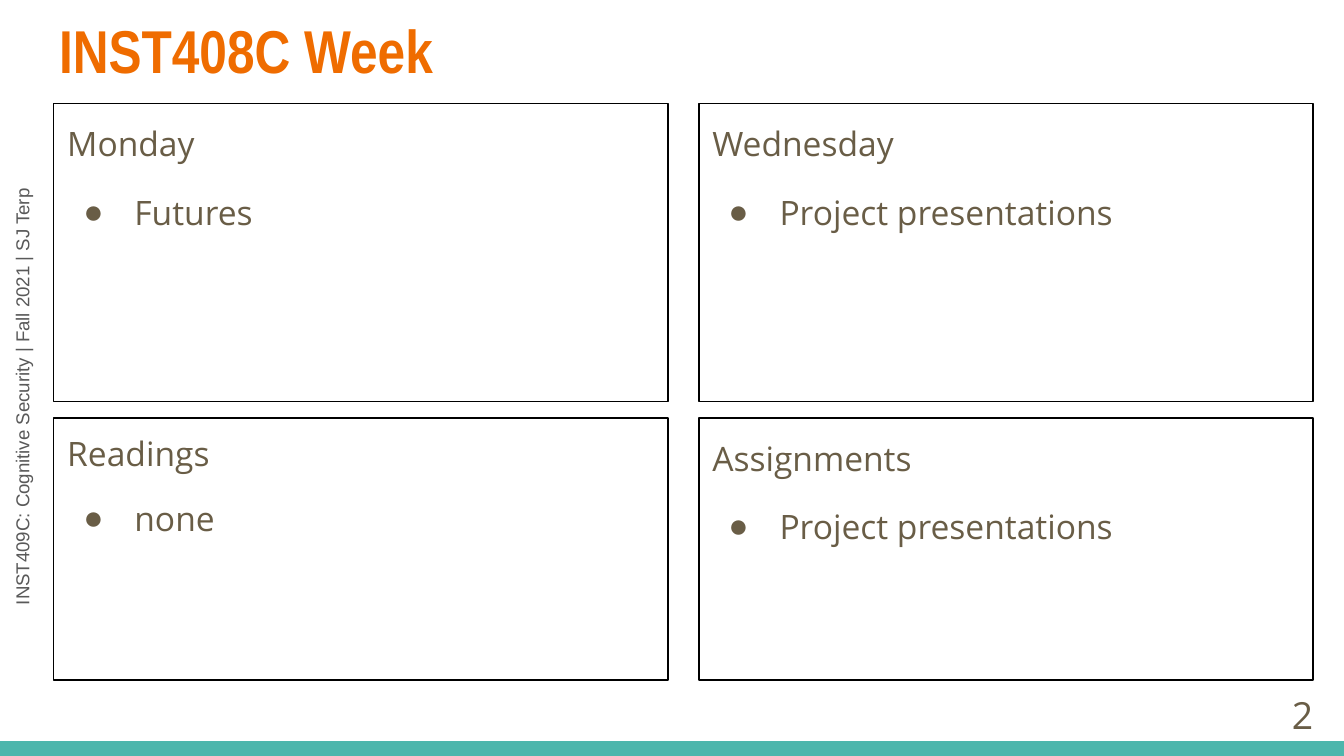
from dataclasses import dataclass

from lxml import etree
from pptx import Presentation
from pptx.dml.color import RGBColor
from pptx.enum.shapes import MSO_SHAPE
from pptx.enum.text import MSO_ANCHOR, MSO_AUTO_SIZE, PP_ALIGN
from pptx.oxml.ns import qn
from pptx.util import Inches, Pt

RECT = MSO_SHAPE.RECTANGLE
TOP, MIDDLE = MSO_ANCHOR.TOP, MSO_ANCHOR.MIDDLE
LEFT, RIGHT = PP_ALIGN.LEFT, PP_ALIGN.RIGHT
NO_FIT = MSO_AUTO_SIZE.NONE
COMPARISON_LAYOUT = 4  # one title and four body placeholders


@dataclass(frozen=True)
class Theme:
    title_color: str = "EF6C00"
    body_color: str = "695D46"
    label_color: str = "595959"
    band_color: str = "4DB6AC"
    border_color: str = "000000"
    title_font: str = "Arial Narrow"
    body_font: str = "Open Sans"
    label_font: str = "Arial"
    title_size: float = 32.4
    body_size: float = 18
    number_size: float = 20
    label_size: float = 10


THEME = Theme()
WIDTH = 10
HEIGHT = WIDTH * 9 / 16
BAND_HEIGHT = 0.11

# Grid: two equal columns, two rows
GRID_LEFT, GRID_TOP = 0.4, 0.77
COLUMN_WIDTH, COLUMN_GAP = 4.57, 0.23
ROW_HEIGHTS, ROW_GAP = (2.22, 1.95), 0.12

# Heading, bullet and line spacing of each panel, row by row
PANELS = [
    [("Monday", "Futures", 1.15), ("Wednesday", "Project presentations", 1.15)],
    [("Readings", "none", 1.05), ("Assignments", "Project presentations", 1.15)],
]


def place(sp, box):
    sp.left, sp.top, sp.width, sp.height = (Inches(v) for v in box)


def set_frame(tf, anchor=TOP):
    tf.word_wrap = True
    tf.auto_size = NO_FIT
    tf.vertical_anchor = anchor
    tf.margin_left = tf.margin_right = Inches(0.1)
    tf.margin_top = tf.margin_bottom = Inches(0.1)


def set_text(p, text, font, size, color, bold=False, align=LEFT):
    p.text = text
    p.alignment = align
    p.font.name, p.font.size, p.font.bold = font, Pt(size), bold
    p.font.color.rgb = RGBColor.from_string(color)


def set_bullet(p, char=None, margin=0, indent=0):
    pPr = p._p.get_or_add_pPr()
    pPr.set("marL", str(Inches(margin)))
    pPr.set("indent", str(Inches(indent)))
    if char:
        bullet = etree.Element(qn("a:buChar"), char=char)
    else:
        bullet = etree.Element(qn("a:buNone"))
    # The bullet comes before the default run properties
    pPr.find(qn("a:defRPr")).addprevious(bullet)


def add_title(slide, box, text):
    sp = slide.shapes.title
    place(sp, box)
    set_frame(sp.text_frame)
    set_text(sp.text_frame.paragraphs[0], text, THEME.title_font,
             THEME.title_size, THEME.title_color, bold=True)


def fill_panel(sp, box, heading, item, spacing):
    place(sp, box)
    sp.line.color.rgb = RGBColor.from_string(THEME.border_color)
    sp.line.width = Pt(0.75)
    tf = sp.text_frame
    set_frame(tf)
    for p, text, before in ((tf.paragraphs[0], heading, 0),
                            (tf.add_paragraph(), item, 12)):
        set_text(p, text, THEME.body_font, THEME.body_size, THEME.body_color)
        p.line_spacing, p.space_before = spacing, Pt(before)
    set_bullet(tf.paragraphs[0])
    set_bullet(tf.paragraphs[1], "●", 0.5, -0.38)


def add_panels(slide, left, top):
    bodies = iter([sp for sp in slide.placeholders
                   if sp.placeholder_format.idx > 0])
    for row, height in zip(PANELS, ROW_HEIGHTS):
        for column, panel in enumerate(row):
            x = left + column * (COLUMN_WIDTH + COLUMN_GAP)
            fill_panel(next(bodies), (x, top, COLUMN_WIDTH, height), *panel)
        top += height + ROW_GAP


def add_label(slide, box, text, font, size, color, align=LEFT, anchor=TOP,
              rotation=0):
    sp = slide.shapes.add_textbox(*(Inches(v) for v in box))
    sp.rotation = rotation
    set_frame(sp.text_frame, anchor)
    set_text(sp.text_frame.paragraphs[0], text, font, size, color, align=align)


def add_band(slide, box):
    sp = slide.shapes.add_shape(RECT, *(Inches(v) for v in box))
    sp.shadow.inherit = False
    sp.fill.solid()
    sp.fill.fore_color.rgb = RGBColor.from_string(THEME.band_color)
    sp.line.fill.background()


def main():
    prs = Presentation()
    prs.slide_width, prs.slide_height = Inches(WIDTH), Inches(HEIGHT)
    slide = prs.slides.add_slide(prs.slide_layouts[COMPARISON_LAYOUT])

    # Course label up the left edge, and the bottom band
    add_label(slide, (-1.62, 2.63, 3.57, 0.37),
              "INST409C: Cognitive Security | Fall 2021 | SJ Terp",
              THEME.label_font, THEME.label_size, THEME.label_color,
              rotation=270)
    add_band(slide, (0, HEIGHT - BAND_HEIGHT, WIDTH, BAND_HEIGHT))

    # Title, the four panels and the slide number
    add_title(slide, (0.34, 0, 9.32, 0.77), "INST408C Week")
    add_panels(slide, GRID_LEFT, GRID_TOP)
    add_label(slide, (9.27, 5.1, 0.6, 0.43), "2", THEME.body_font,
              THEME.number_size, THEME.body_color, RIGHT, MIDDLE)

    prs.save("out.pptx")


if __name__ == "__main__":
    main()
